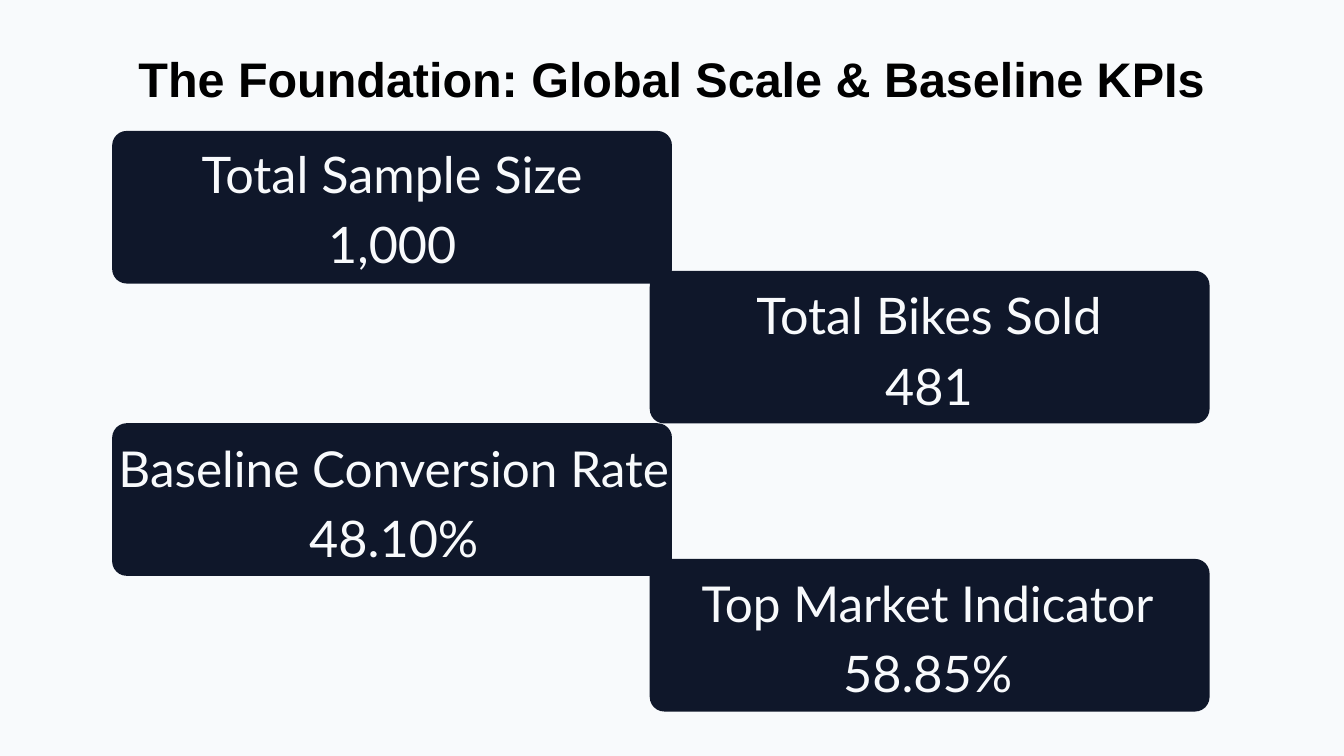
from pptx import Presentation
from pptx.dml.color import RGBColor
from pptx.enum import shapes, text
from pptx.util import Cm, Pt

# Content: label, value, their sizes, card top, text box (left, top, width, height)
TITLE = "The Foundation: Global Scale & Baseline KPIs"
KPIS = [
    ("Total Sample Size", "1,000", 54, 53.9, 4.95, (7.37, 5.03, 14.91, 5.21)),
    ("Total Bikes Sold", "481", 54, 54, 10.24, (28.42, 10.36, 13.39, 5.21)),
    ("Baseline Conversion Rate", "48.10%", 53, 54, 16, (4.37, 16.18, 21.03, 5.16)),
    ("Top Market Indicator", "58.85%", 53, 54, 21.13, (26.24, 21.29, 17.65, 5.16)),
]
COLORS = {"back": "F8FAFC", "card": "0F172A", "title": "000000", "text": "F8FAFC"}
LEFTS = (4.24, 24.56)  # cards alternate between two columns
CARD_W, CARD_H, RADIUS = 21.16, 5.77, 0.55
LEADING = 1.4  # line pitch as a multiple of the font size


def color(name):
    return RGBColor.from_string(COLORS[name])


def write(shape, lines, font, fill, bold=False, wrap=False):
    """Fill a shape with centred (text, size) lines."""
    frame = shape.text_frame
    frame.margin_left = frame.margin_right = 0
    frame.margin_top = frame.margin_bottom = 0
    frame.word_wrap = wrap
    frame.auto_size = text.MSO_AUTO_SIZE.NONE
    frame.vertical_anchor = text.MSO_ANCHOR.TOP
    for i, (line, size) in enumerate(lines):
        par = frame.add_paragraph() if i else frame.paragraphs[0]
        par.alignment = text.PP_ALIGN.CENTER
        par.line_spacing = Pt(round(size * LEADING, 1))
        par.space_before = Pt(0)
        run = par.add_run()
        run.text = line
        run.font.name, run.font.size, run.font.bold = font, Pt(size), bold
        run.font.color.rgb = color(fill)


deck = Presentation()
deck.slide_width, deck.slide_height = Cm(50.8), Cm(28.58)
slide = deck.slides.add_slide(deck.slide_layouts[5])
slide.background.fill.solid()
slide.background.fill.fore_color.rgb = color("back")

# Title
head = slide.shapes.title
head.left, head.top, head.width, head.height = Cm(2.44), Cm(1.5), Cm(45.92), Cm(2.46)
write(head, [(TITLE, 52)], "Arial", "title", bold=True, wrap=True)

# Cards
for i, kpi in enumerate(KPIS):
    card = slide.shapes.add_shape(
        shapes.MSO_SHAPE.ROUNDED_RECTANGLE,
        Cm(LEFTS[i % 2]), Cm(kpi[4]), Cm(CARD_W), Cm(CARD_H))
    card.adjustments[0] = RADIUS / CARD_H
    card.shadow.inherit = False
    card.fill.solid()
    card.fill.fore_color.rgb = color("card")
    card.line.fill.background()

# Labels and values
for label, value, big, small, top, box in KPIS:
    note = slide.shapes.add_textbox(*map(Cm, box))
    write(note, [(label, big), (value, small)], "Lato", "text")

deck.save("out.pptx")
